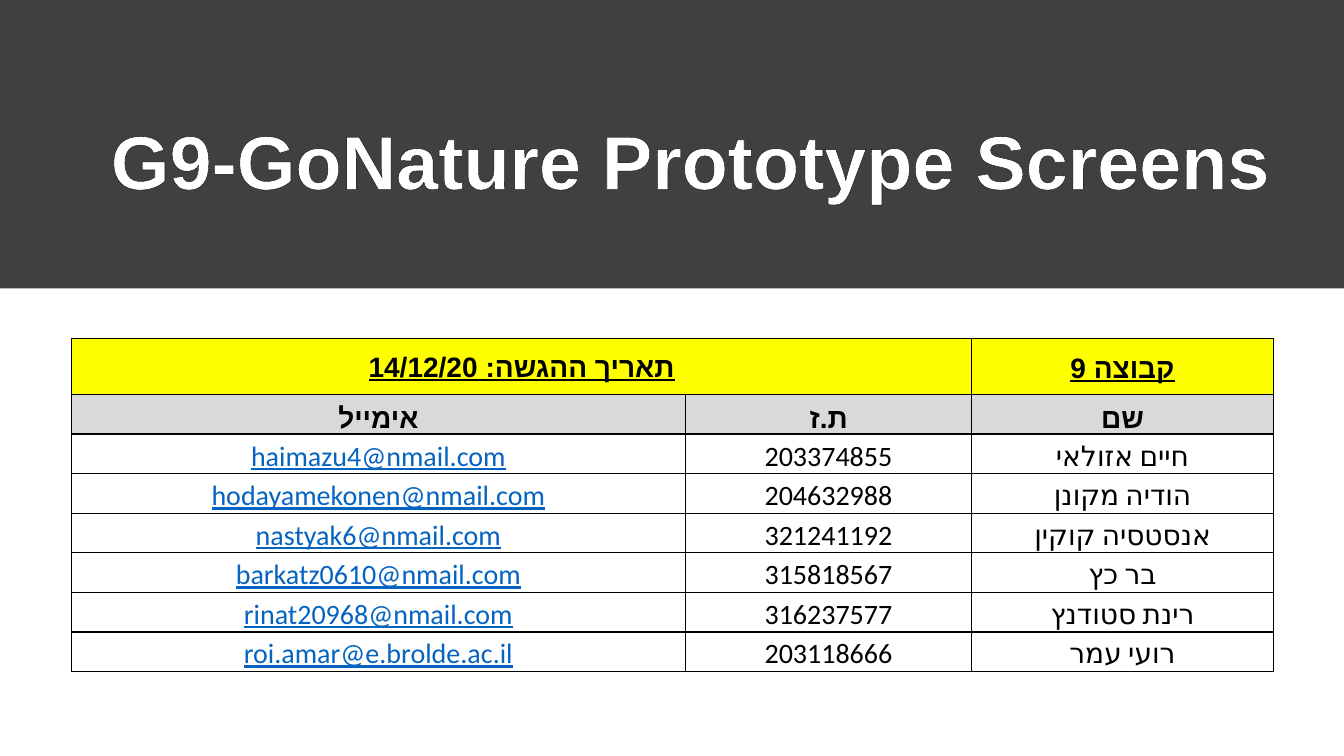
from dataclasses import dataclass

from pptx import Presentation
from pptx import util as u
from pptx.dml.color import RGBColor
from pptx.enum import shapes, text
from pptx.oxml import parse_xml
from pptx.oxml.ns import nsdecls

Pt = u.Pt


@dataclass(frozen=True)
class Theme:
    dark: str = "404040"
    white: str = "FFFFFF"
    black: str = "000000"
    yellow: str = "FFFF00"
    grey: str = "D9D9D9"
    link: str = "0563C1"
    head: str = "Arial"
    body: str = "Calibri"
    big: int = 54
    small: int = 20


T = Theme()
MID, LOW = text.MSO_ANCHOR.MIDDLE, text.MSO_ANCHOR.BOTTOM

GROUP = ["תאריך ההגשה: 14/12/20", "", "קבוצה 9"]
HEADS = ["אימייל", "ת.ז", "שם"]
TEAM = [
    ["haimazu4@nmail.com", "203374855", "חיים אזולאי"],
    ["hodayamekonen@nmail.com", "204632988", "הודיה מקונן"],
    ["nastyak6@nmail.com", "321241192", "אנסטסיה קוקין"],
    ["barkatz0610@nmail.com", "315818567", "בר כץ"],
    ["rinat20968@nmail.com", "316237577", "רינת סטודנץ"],
    ["roi.amar@e.brolde.ac.il", "203118666", "רועי עמר"],
]


def put(obj, vals):
    for key, val in vals.items():
        setattr(obj, key, val)


def line(tag, width):
    """Solid black line element for a cell border or a text outline."""
    return parse_xml(
        f'<a:{tag} {nsdecls("a")} w="{Pt(width)}"><a:solidFill>'
        f'<a:srgbClr val="{T.black}"/></a:solidFill></a:{tag}>')


def write(frame, words, color, face, size, gap, **form):
    """Put one centred line of text in a frame and return its run."""
    par = frame.paragraphs[0]
    put(par, dict(alignment=text.PP_ALIGN.CENTER, line_spacing=gap))
    run = par.add_run()
    run.text = words
    put(run.font, dict(name=face, size=Pt(size), **form))
    run.font.color.rgb = RGBColor.from_string(color)
    return run


def banner(slide, x, y, w, h):
    # Dark band behind the title
    band = slide.shapes.add_shape(
        shapes.MSO_SHAPE.RECTANGLE, Pt(x), Pt(y), Pt(w), Pt(h))
    band.shadow.inherit = False
    band.fill.solid()
    band.fill.fore_color.rgb = RGBColor.from_string(T.dark)
    band.line.fill.background()
    slide.shapes._spTree.insert(2, band._element)

    # Outlined title
    title = slide.shapes.title
    put(title, dict(left=Pt(x + 55.5), top=Pt(y + 28.8),
                    width=Pt(875.5), height=Pt(121.7)))
    put(title.text_frame, dict(vertical_anchor=LOW, word_wrap=True))
    run = write(title.text_frame, "G9-GoNature Prototype Screens",
                T.white, T.head, T.big, 0.9, bold=True)
    run.font._element.insert(0, line("ln", 0.88))


def fill_cell(cell, words, color, back, anchor, pads, **form):
    put(cell, dict(vertical_anchor=anchor))
    put(cell, dict(zip(("margin_left", "margin_top", "margin_right",
                        "margin_bottom"), map(Pt, pads))))
    props = cell._tc.get_or_add_tcPr()
    for side in "LRTB":
        props.append(line("ln" + side, 1))
    if back:
        cell.fill.solid()
        cell.fill.fore_color.rgb = RGBColor.from_string(back)
    else:
        cell.fill.background()
    if not words:
        return
    run = write(cell.text_frame, words, color, T.body, T.small, 1.07, **form)
    # Hebrew runs from right to left
    if any("א" <= char <= "ת" for char in words):
        cell.text_frame.paragraphs[0]._p.get_or_add_pPr().set("rtl", "1")
        run._r.get_or_add_rPr().set("lang", "he-IL")
        face = T.head if form["bold"] else T.body
        run.font._element.append(
            parse_xml(f'<a:cs {nsdecls("a")} typeface="{face}"/>'))


def roster(slide, x, y, w, h):
    rows = [GROUP, HEADS, *TEAM]
    top = 40.3
    grid = slide.shapes.add_table(
        len(rows), len(HEADS), Pt(x), Pt(y), Pt(w), Pt(h)).table
    put(grid, dict(first_row=False, horz_banding=False))
    for col, part in zip(grid.columns, (6.09, 2.84, 2.99)):
        col.width = Pt(w * part / 11.92)
    for i, row in enumerate(grid.rows):
        row.height = Pt((h - top) / (len(rows) - 1) if i else top)

    # Group row, column heads, then one row per member
    grid.cell(0, 0).merge(grid.cell(0, 1))
    for i, row in enumerate(rows):
        for j, words in enumerate(row):
            mail = i > 1 and j == 0
            fill_cell(
                grid.cell(i, j), words,
                T.link if mail else T.black,
                (T.yellow, T.grey, None)[min(i, 2)],
                LOW if i else MID,
                (13, 6.5, 13, 6.5) if i + j == 0 else (10, 1.4, 10, 0),
                bold=i < 2, underline=mail or i == 0)


def main():
    deck = Presentation()
    put(deck, dict(slide_width=Pt(960), slide_height=Pt(540)))
    slide = deck.slides.add_slide(deck.slide_layouts[5])
    banner(slide, 0, 0, 960, 206)
    roster(slide, 51, 241.5, 858.5, 238.3)
    deck.save("out.pptx")


if __name__ == "__main__":
    main()
